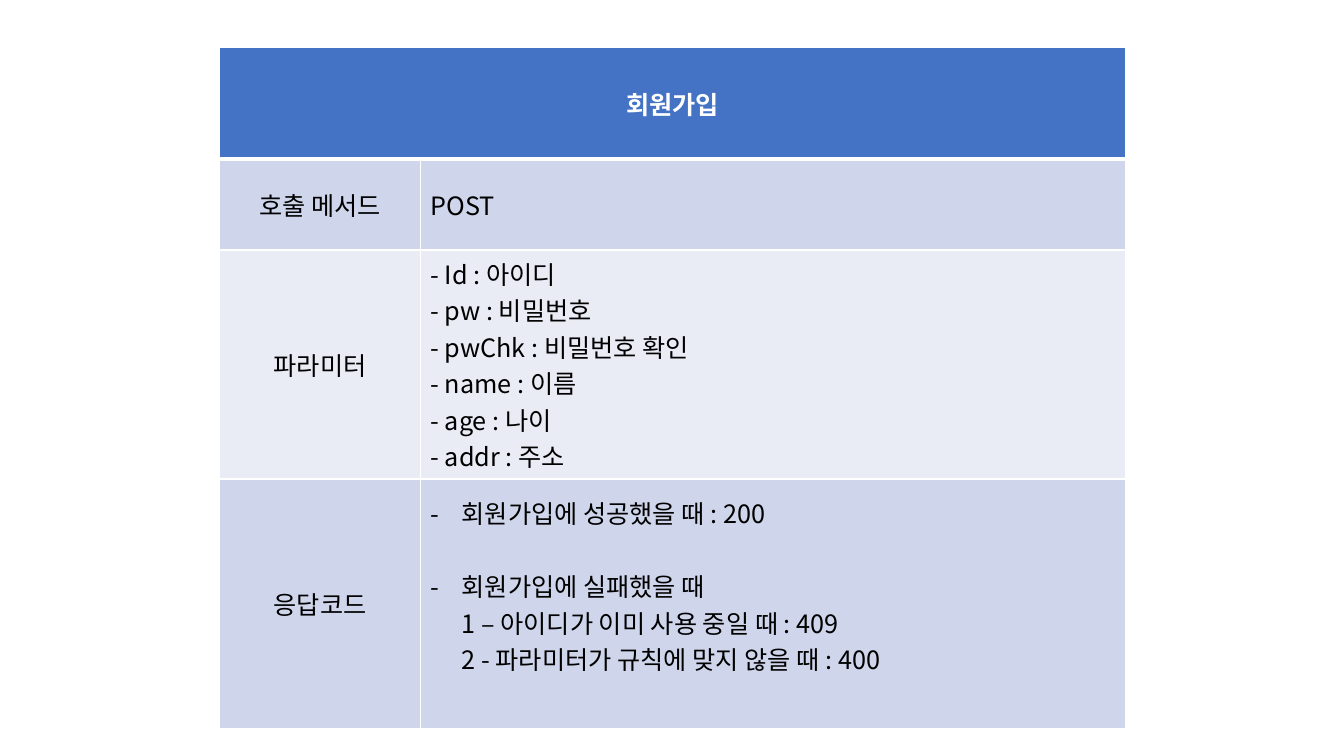
import pptx
import pptx.dml.color
import pptx.enum.text
import pptx.oxml
import pptx.oxml.ns
import pptx.util
from pptx.util import Inches, Pt

RGBColor = pptx.dml.color.RGBColor
PP_ALIGN = pptx.enum.text.PP_ALIGN

FONT = "Noto Sans CJK KR"
WHITE = RGBColor(0xFF, 0xFF, 0xFF)
BLACK = RGBColor(0, 0, 0)
HEADER_BLUE = RGBColor(0x44, 0x72, 0xC4)
BAND_DARK = RGBColor(0xCF, 0xD5, 0xEA)
BAND_LIGHT = RGBColor(0xE9, 0xEB, 0xF5)

COLUMN_WIDTHS = (1.99, 6.99)
ROW_HEIGHTS = (1.11, 0.9, 2.27, 2.48)
BLANK_LINE = 0.36

PARAMETERS = [
    "- Id : 아이디",
    "- pw : 비밀번호",
    "- pwChk : 비밀번호 확인",
    "- name : 이름",
    "- age : 나이",
    "- addr : 주소",
]
RESPONSES = [
    ["회원가입에 성공했을 때 : 200"],
    [
        "회원가입에 실패했을 때",
        "1 – 아이디가 이미 사용 중일 때 : 409",
        "2 - 파라미터가 규칙에 맞지 않을 때 : 400",
    ],
]


def make_xml(markup):
    """Parse one DrawingML element, given without its namespace declaration."""
    name, rest = markup[1:].split(" ", 1)
    return pptx.oxml.parse_xml(f"<{name} {pptx.oxml.ns.nsdecls('a')} {rest}")


def add_span(para, text, color=BLACK, bold=False):
    span = para.add_run()
    span.text = text
    font = span.font
    font.name, font.size, font.bold = FONT, Pt(18), bold
    font.color.rgb = color
    font._element.append(make_xml(f'<a:ea typeface="{FONT}"/>'))


def format_cell(cell, fill, bottom_width=1):
    cell.vertical_anchor = pptx.enum.text.MSO_ANCHOR.MIDDLE
    cell.fill.solid()
    cell.fill.fore_color.rgb = fill
    widths = {"L": 1, "R": 1, "T": 1, "B": bottom_width}
    for index, (side, width) in enumerate(widths.items()):
        border = make_xml(
            f'<a:ln{side} w="{Pt(width)}"><a:solidFill>'
            f'<a:srgbClr val="{WHITE}"/></a:solidFill></a:ln{side}>'
        )
        cell._tc.tcPr.insert(index, border)


def write_lines(cell, lines, align=PP_ALIGN.LEFT, color=BLACK, bold=False):
    for index, line in enumerate(lines):
        frame = cell.text_frame
        para = frame.add_paragraph() if index else frame.paragraphs[0]
        para.alignment = align
        add_span(para, line, color, bold)


def write_bullets(cell, items):
    """Write dash bullets, each a list of lines, one blank line apart."""
    for index, lines in enumerate(items):
        frame = cell.text_frame
        para = frame.add_paragraph() if index else frame.paragraphs[0]
        if index:
            para.space_before = Inches(BLANK_LINE)
        properties = para._p.get_or_add_pPr()
        properties.set("marL", str(Inches(0.31)))
        properties.set("indent", str(Inches(-0.31)))
        properties.append(make_xml(f'<a:buFont typeface="{FONT}"/>'))
        properties.append(make_xml('<a:buChar char="-"/>'))
        for number, line in enumerate(lines):
            if number:
                para.add_line_break()
            add_span(para, line)
    cell.margin_bottom = Inches(0.05 + BLANK_LINE)


def add_api_table(page):
    frame = page.shapes.add_table(
        len(ROW_HEIGHTS), len(COLUMN_WIDTHS), Inches(2.18), Inches(0.47),
        Inches(sum(COLUMN_WIDTHS)), Inches(sum(ROW_HEIGHTS)),
    )
    table = frame.table
    for column, width in zip(table.columns, COLUMN_WIDTHS):
        column.width = Inches(width)
    for row, height in zip(table.rows, ROW_HEIGHTS):
        row.height = Inches(height)

    table.cell(0, 0).merge(table.cell(0, 1))
    fills = (HEADER_BLUE, BAND_DARK, BAND_LIGHT, BAND_DARK)
    for row, fill in zip(table.rows, fills):
        for cell in row.cells:
            format_cell(cell, fill, 3 if fill == HEADER_BLUE else 1)
    return table


def main():
    deck = pptx.Presentation()
    deck.slide_width, deck.slide_height = Inches(13.33), Inches(7.5)
    page = deck.slides.add_slide(deck.slide_layouts[6])

    table = add_api_table(page)
    write_lines(table.cell(0, 0), ["회원가입"], PP_ALIGN.CENTER, WHITE, True)
    for row, label in enumerate(("호출 메서드", "파라미터", "응답코드"), 1):
        write_lines(table.cell(row, 0), [label], PP_ALIGN.CENTER)
    write_lines(table.cell(1, 1), ["POST"])
    write_lines(table.cell(2, 1), PARAMETERS)
    write_bullets(table.cell(3, 1), RESPONSES)

    deck.save("out.pptx")


if __name__ == "__main__":
    main()
